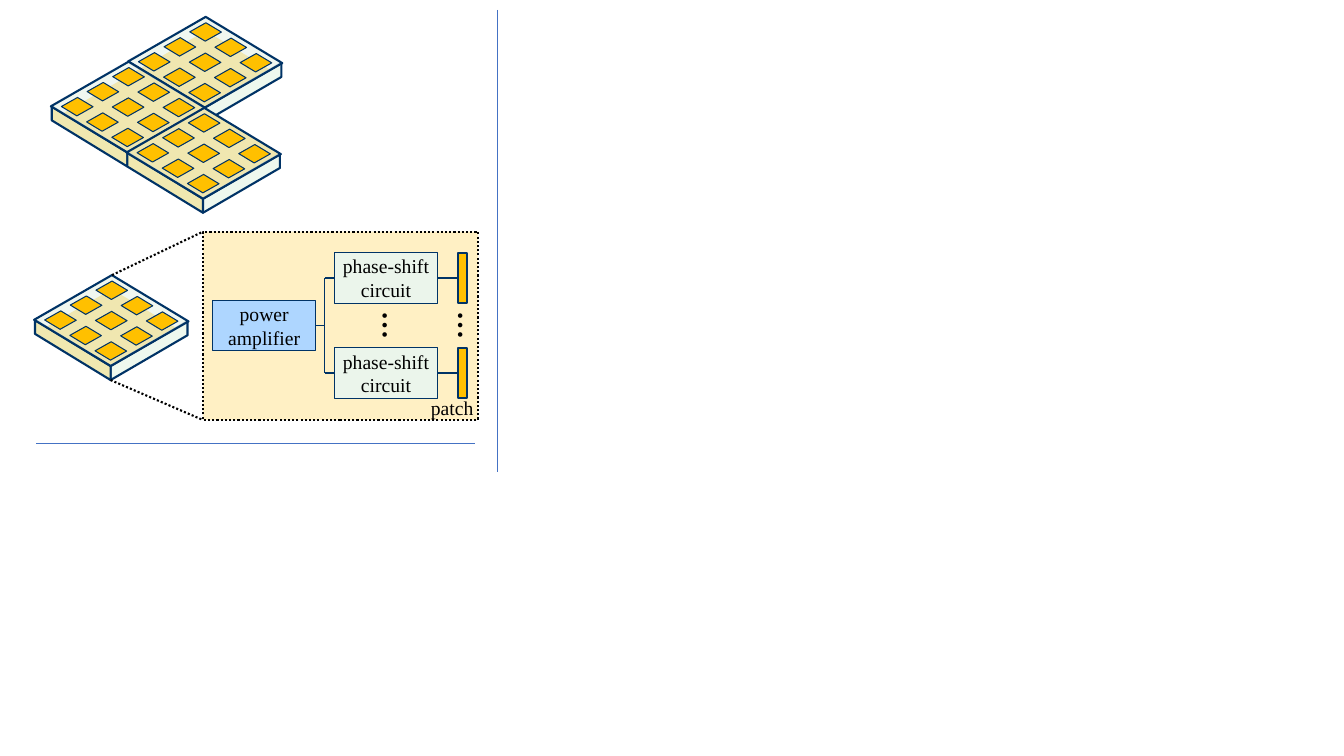
import itertools
from dataclasses import dataclass

import pptx
import pptx.dml.color
import pptx.enum.dml
import pptx.enum.shapes
import pptx.enum.text
import pptx.oxml
import pptx.oxml.ns
import pptx.util

Pt = pptx.util.Pt
SHAPES = pptx.enum.shapes.MSO_SHAPE
CENTER = pptx.enum.text.PP_ALIGN.CENTER
DOTTED = pptx.enum.dml.MSO_LINE.ROUND_DOT


@dataclass(frozen=True)
class Theme:
    font: str = "Times New Roman"
    label_size: float = 14
    dots_size: float = 20
    ink: str = "000000"
    navy: str = "003366"
    gold: str = "FFC000"
    mint: str = "EBF5EB"
    wall: str = "EEF8EE"
    tan: str = "F0E8B0"
    sky: str = "AED6FF"
    rule: str = "4472C4"
    hairline: float = 0.5
    thin: float = 0.75
    wire: float = 1
    thick: float = 1.5


THEME = Theme()
RIGHT_EDGE = (54, 33)
LEFT_EDGE = (-55, 32)
TILE_DEPTH = 10
TILE_ANGLE = 31.1


def rgb(color):
    return pptx.dml.color.RGBColor.from_string(color)


def stroke(line, color, width, dash=None):
    line.color.rgb = rgb(color)
    line.width = Pt(width)
    if dash:
        line.dash_style = dash


def paint(shape, fill, line=THEME.navy, width=THEME.thin, opacity=100, dash=None):
    shape.shadow.inherit = False
    shape.fill.solid()
    shape.fill.fore_color.rgb = rgb(fill)
    if opacity < 100:
        color = shape.fill._xPr.find(".//" + pptx.oxml.ns.qn("a:srgbClr"))
        alpha = pptx.oxml.parse_xml(f'<a:alpha {pptx.oxml.ns.nsdecls("a")} val="{opacity * 1000}"/>')
        color.append(alpha)
    if line:
        stroke(shape.line, line, width, dash)
    else:
        shape.line.fill.background()
    return shape


def add_rectangle(slide, box, fill, **style):
    shape = slide.shapes.add_shape(SHAPES.RECTANGLE, *map(Pt, box))
    return paint(shape, fill, **style)


def add_diamond(slide, center, size, skew, fill, **style):
    corner = [middle - length / 2 for middle, length in zip(center, size)]
    shape = slide.shapes.add_shape(SHAPES.PARALLELOGRAM, *map(Pt, (*corner, *size)))
    shape.adjustments[0] = skew
    shape.rotation = TILE_ANGLE
    return paint(shape, fill, **style)


def add_line(slide, start, end, color=THEME.navy, width=THEME.wire, dash=None, begin=None, finish=None):
    connector = slide.shapes.add_connector(
        pptx.enum.shapes.MSO_CONNECTOR.STRAIGHT, *map(Pt, (*start, *end)))
    stroke(connector.line, color, width, dash)
    connector._element.spPr.append(pptx.oxml.parse_xml(f'<a:effectLst {pptx.oxml.ns.nsdecls("a")}/>'))
    if begin:
        connector.begin_connect(*begin)
    if finish:
        connector.end_connect(*finish)
    return connector


def write(shape, text, size=THEME.label_size, bold=False, wrap=True):
    frame = shape.text_frame
    frame.word_wrap = wrap
    frame.margin_left = frame.margin_right = frame.margin_top = frame.margin_bottom = 0
    frame.vertical_anchor = pptx.enum.text.MSO_ANCHOR.MIDDLE
    for index, words in enumerate(text.split("\n")):
        paragraph = frame.add_paragraph() if index else frame.paragraphs[0]
        paragraph.alignment = CENTER
        run = paragraph.add_run()
        run.text = words
        run.font.name = THEME.font
        run.font.size = Pt(size)
        run.font.bold = bold
        run.font.color.rgb = rgb(THEME.ink)


def add_label(slide, box, text, rotation=0, **style):
    shape = slide.shapes.add_textbox(*map(Pt, box))
    shape.rotation = rotation
    write(shape, text, **style)


def along(origin, right=0, left=0, down=0):
    x, y = origin
    return (x + right * RIGHT_EDGE[0] + left * LEFT_EDGE[0],
            y + right * RIGHT_EDGE[1] + left * LEFT_EDGE[1] + down)


def add_wall(slide, start, end, fill):
    points = [start, end, along(end, down=TILE_DEPTH), along(start, down=TILE_DEPTH)]
    points = [tuple(map(Pt, point)) for point in points]
    builder = slide.shapes.build_freeform(*points[0])
    builder.add_line_segments(points[1:], close=True)
    paint(builder.convert_to_shape(), fill, width=THEME.thick)


def draw_tile(slide, apex, base_drop=TILE_DEPTH, left_wall=True, right_wall=True):
    center = along(apex, 0.5, 0.5)
    bottom = along(apex, 1, 1)
    face = {"size": (95, 56), "skew": 0.555}
    add_diamond(slide, along(center, down=base_drop), fill=THEME.gold, line=None, **face)
    if right_wall:
        add_wall(slide, bottom, along(apex, right=1), THEME.wall)
    if left_wall:
        add_wall(slide, along(apex, left=1), bottom, THEME.tan)
    add_diamond(slide, center, fill=THEME.mint, opacity=75, width=THEME.thick, **face)
    for row, column in itertools.product(range(3), repeat=2):
        middle = along(apex, (row + 0.5) / 3, (column + 0.5) / 3)
        add_diamond(slide, middle, (19.4, 11.5), 0.566, THEME.gold)


def draw_array(slide, apex):
    draw_tile(slide, apex, left_wall=False)
    draw_tile(slide, along(apex, left=1), right_wall=False)
    draw_tile(slide, along(apex, right=1, left=1), base_drop=0)


def draw_callout(slide, apex, panel):
    left, top, width, height = panel
    tile_bottom = along(apex, 1, 1, TILE_DEPTH)
    for tile_end, panel_end in ((apex, (left, top)), (tile_bottom, (left, top + height))):
        add_line(slide, tile_end, panel_end, THEME.ink, THEME.thick, DOTTED)


def draw_circuit(slide, panel):
    left, top, width, height = panel
    box_width, box_height = 73.5, 36
    add_rectangle(slide, panel, THEME.gold, opacity=23, line=THEME.ink, width=THEME.thick, dash=DOTTED)
    amplifier_top = top + 49
    amplifier = add_rectangle(slide, (left + 7, amplifier_top, box_width, box_height), THEME.sky)
    write(amplifier, "power\namplifier")

    trunk = left + 87
    middle = amplifier_top + box_height / 2
    spread = 34
    phase_left, patch_left = left + 94, left + 182
    for y in (middle - spread, middle + spread):
        row_top = y - box_height / 2
        phase = add_rectangle(slide, (phase_left, row_top, box_width, box_height), THEME.mint)
        write(phase, "phase-shift\ncircuit")
        patch = add_rectangle(slide, (patch_left, row_top, 6.5, box_height), THEME.gold, width=THEME.thick)
        add_line(slide, (trunk, y), (phase_left, y), finish=(phase, 1))
        add_line(slide, (phase_left + box_width, y), (patch_left, y), begin=(phase, 3), finish=(patch, 1))
    add_line(slide, (trunk, middle - spread), (trunk, middle + spread))
    add_line(slide, (left + 7 + box_width, middle), (trunk, middle), begin=(amplifier, 3))

    for x in (left + 136.5, left + 190.5):
        add_label(slide, (x - 17, middle - 16, 34, 32), "…", rotation=90,
                  size=THEME.dots_size, bold=True, wrap=False)
    add_label(slide, (left + 155.5, top + height - 21, 45, 24), "patch", wrap=False)


def draw_dividers(slide, box):
    left, top, width, height = box
    for start, end in (((left + width, top), (left + width, top + height)),
                       ((left + 26, top + 309.5), (left + 339, top + 309.5))):
        add_line(slide, start, end, THEME.rule, THEME.hairline)


def main():
    presentation = pptx.Presentation()
    presentation.slide_width = Pt(960)
    presentation.slide_height = Pt(540)
    slide = presentation.slides.add_slide(presentation.slide_layouts[6])
    panel = (145, 165.5, 196.5, 134.5)
    single_apex = (80, 196.5)
    draw_array(slide, (147, 12))
    draw_tile(slide, single_apex)
    draw_callout(slide, single_apex, panel)
    draw_circuit(slide, panel)
    draw_dividers(slide, (0, 7, 355.5, 330))
    presentation.save("out.pptx")


if __name__ == "__main__":
    main()
